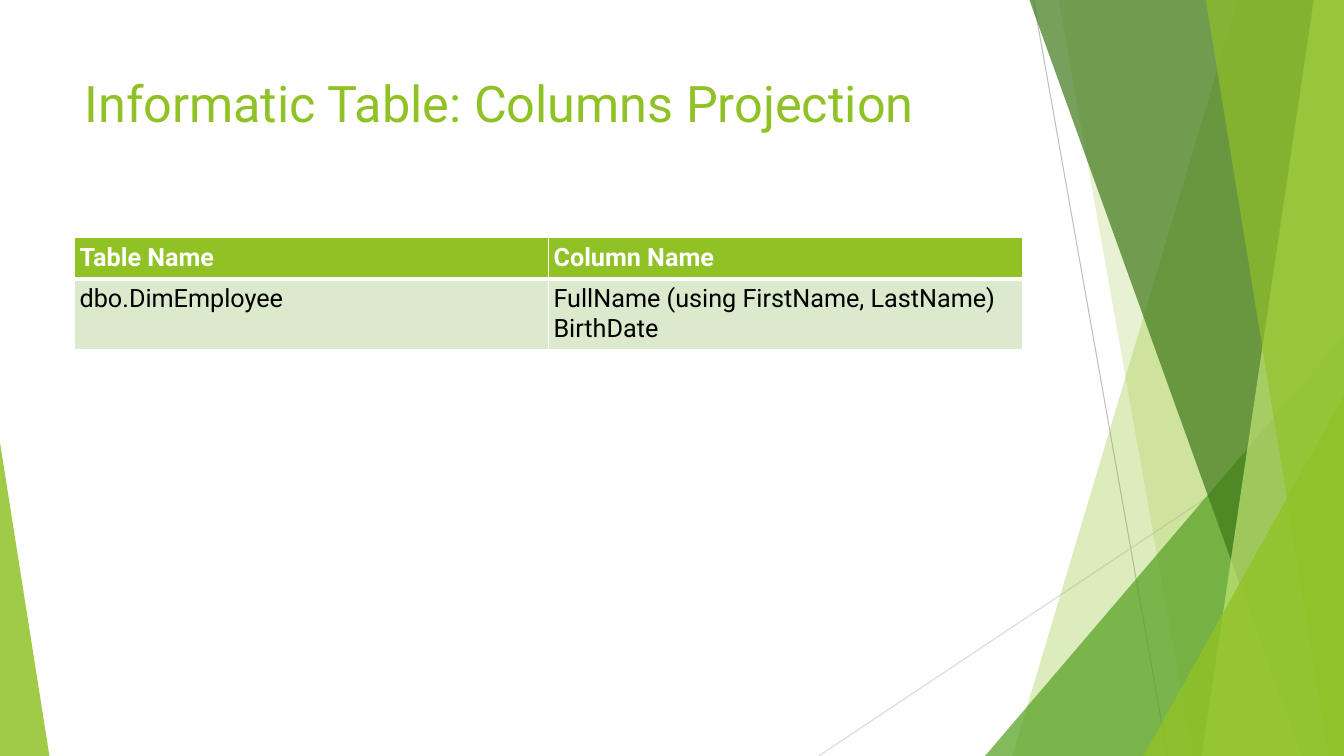
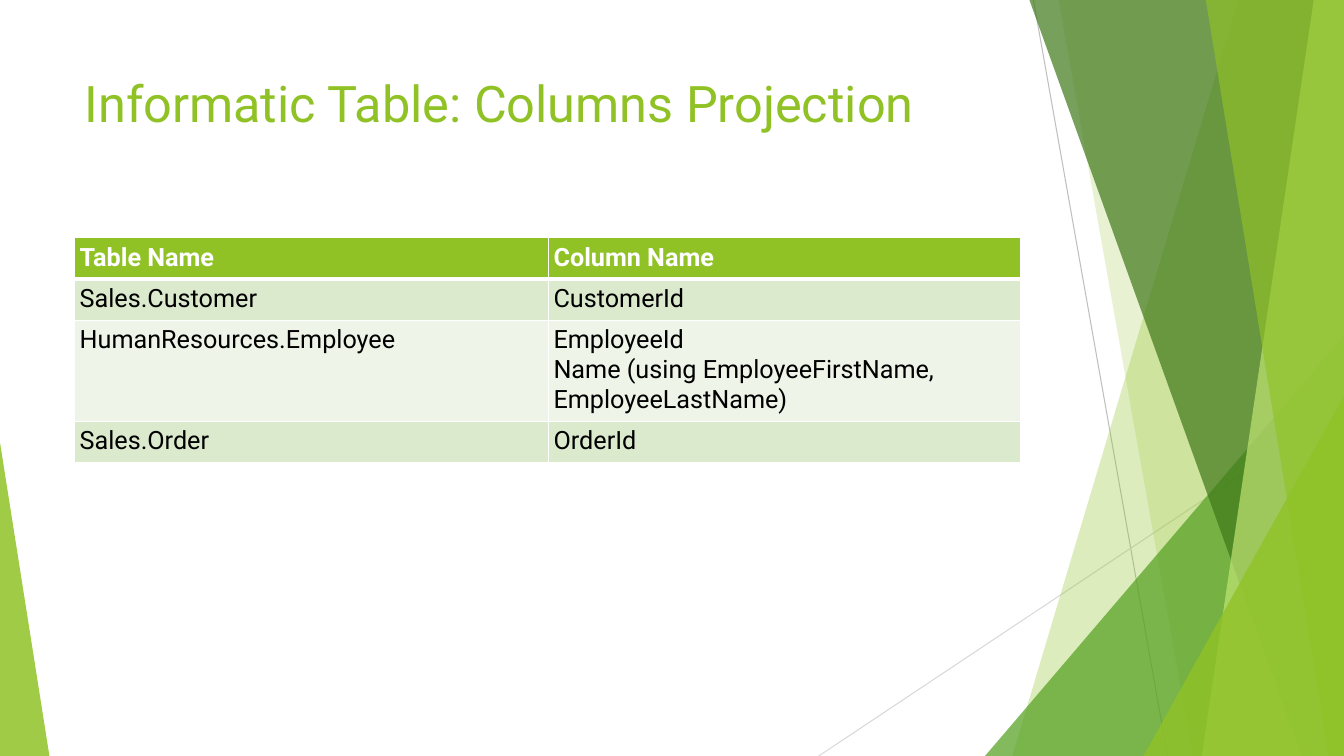
"""Build two slides that list projected table columns."""
from dataclasses import dataclass

from lxml import etree
from pptx import Presentation
from pptx.dml.color import RGBColor
from pptx.enum.shapes import MSO_CONNECTOR, MSO_SHAPE
from pptx.enum.text import MSO_ANCHOR
from pptx.oxml.ns import qn
from pptx.util import Pt

STRAIGHT = MSO_CONNECTOR.STRAIGHT
TRIANGLE = MSO_SHAPE.ISOSCELES_TRIANGLE
TOP = MSO_ANCHOR.TOP
PX = 9144


@dataclass(frozen=True)
class Theme:
    """Colours, font and type sizes of the deck."""
    font: str = "Roboto"
    title_size: int = 36
    table_size: int = 18
    hairline: float = 0.75
    border: int = 1
    header_border: int = 3
    white: str = "FFFFFF"
    black: str = "000000"
    green: str = "90C226"
    leaf: str = "54A021"
    forest: str = "3F7819"
    lime: str = "C0E474"
    grey: str = "BFBFBF"
    light_grey: str = "D9D9D9"
    bands: tuple = ("DBE9CD", "EEF4E8")


@dataclass(frozen=True)
class Box:
    """A region in px."""
    left: int
    top: int
    width: int
    height: int

    def emu(self):
        """Return the region as EMU lengths."""
        return [value * PX for value in (self.left, self.top, self.width, self.height)]


THEME = Theme()
PAGE = Box(0, 0, 1333, 750)
TITLE_BOX = Box(74, 67, 940, 144)
TABLE_LEFT, TABLE_TOP = 74, 236
CELL_INSET = 5
ROW_PADDING, LINE_HEIGHT = 12, 29

HAIRLINES = [
    (1025, 0, 1158, 750, THEME.grey),
    (1333, 403, 812, 750, THEME.light_grey),
]
FACETS = [
    ("band", 1228, 1004, THEME.green, 30),
    ("band", 1050, 1183, THEME.green, 20),
    ("corner", 977, 333, THEME.leaf, 72),
    ("band", 1021, 1291, THEME.forest, 70),
    ("band", 1303, 1192, THEME.lime, 70),
    ("band", 1196, 1318, THEME.green, 65),
    ("corner", 1134, 393, THEME.green, 80),
]
HEADINGS = ("Table Name", "Column Name")
SLIDES = [
    ("Informatic Table: Columns Projection", (470, 470), [
        ("dbo.DimEmployee", "FullName (using FirstName, LastName)\nBirthDate", 2),
    ]),
    ("Informatic Table: Columns Projection", (470, 468), [
        ("Sales.Customer", "CustomerId", 1),
        ("HumanResources.Employee",
         "EmployeeId\nName (using EmployeeFirstName, EmployeeLastName)", 3),
        ("Sales.Order", "OrderId", 1),
    ]),
]


def write_text(frame, text, *, size, colour, bold=False):
    """Fill a text frame with one paragraph for each line."""
    frame.word_wrap = True
    for index, line in enumerate(text.split("\n")):
        paragraph = frame.add_paragraph() if index else frame.paragraphs[0]
        run = paragraph.add_run()
        run.text = line
        run.font.name = THEME.font
        run.font.size = Pt(size)
        run.font.bold = bold
        run.font.color.rgb = RGBColor.from_string(colour)


def paint(shape, colour, opacity):
    """Give a shape a translucent fill without line or shadow."""
    shape.shadow.inherit = False
    shape.line.fill.background()
    shape.fill.solid()
    shape.fill.fore_color.rgb = RGBColor.from_string(colour)
    tint = shape.fill._xPr.find(qn("a:solidFill"))[0]
    etree.SubElement(tint, qn("a:alpha"), val=str(opacity * 1000))


def add_hairline(slide, box, start_x, start_y, end_x, end_y, colour):
    """Draw a thin straight line inside a box."""
    line = slide.shapes.add_connector(
        STRAIGHT, (box.left + start_x) * PX, (box.top + start_y) * PX,
        (box.left + end_x) * PX, (box.top + end_y) * PX)
    line.line.color.rgb = RGBColor.from_string(colour)
    line.line.width = Pt(THEME.hairline)
    etree.SubElement(line._element.spPr, qn("a:effectLst"))


def add_band(slide, box, top_x, bottom_x, colour, opacity):
    """Draw a full-height band with a slanted left edge."""
    right, bottom = box.left + box.width, box.top + box.height
    builder = slide.shapes.build_freeform(box.left + top_x, box.top, scale=PX)
    builder.add_line_segments(
        [(right, box.top), (right, bottom), (box.left + bottom_x, bottom)], close=True)
    paint(builder.convert_to_shape(), colour, opacity)


def add_triangle(slide, box, apex, colour, opacity):
    """Draw a triangle whose apex is a share of the box width."""
    triangle = slide.shapes.add_shape(TRIANGLE, *box.emu())
    triangle.adjustments[0] = apex
    paint(triangle, colour, opacity)


def add_backdrop(slide, box):
    """Draw the lines and green facets shared by all slides."""
    for hairline in HAIRLINES:
        add_hairline(slide, box, *hairline)
    for kind, first, second, colour, opacity in FACETS:
        if kind == "band":
            add_band(slide, box, first, second, colour, opacity)
        else:
            corner = Box(box.left + first, box.top + second,
                         box.width - first, box.height - second)
            add_triangle(slide, corner, 1, colour, opacity)
    left_corner = Box(box.left, box.top + 439, 49, box.height - 439)
    add_triangle(slide, left_corner, 0, THEME.green, 85)


def add_title(slide, box, text):
    """Place the slide title in a box."""
    frame = slide.shapes.add_textbox(*box.emu()).text_frame
    frame.vertical_anchor = TOP
    write_text(frame, text, size=THEME.title_size, colour=THEME.green)


def add_borders(cell, top, bottom):
    """Draw white borders around a table cell."""
    properties = cell._tc.get_or_add_tcPr()
    widths = {"lnL": THEME.border, "lnR": THEME.border, "lnT": top, "lnB": bottom}
    for side, width in widths.items():
        line = etree.SubElement(properties, qn(f"a:{side}"), w=str(Pt(width)))
        fill = etree.SubElement(line, qn("a:solidFill"))
        etree.SubElement(fill, qn("a:srgbClr"), val=THEME.white)


def fill_cell(cell, text, row_index):
    """Write and style one cell according to its row."""
    header = row_index == 0
    add_borders(cell,
                top=THEME.header_border if row_index == 1 else THEME.border,
                bottom=THEME.header_border if header else THEME.border)
    cell.fill.solid()
    colour = THEME.green if header else THEME.bands[(row_index - 1) % 2]
    cell.fill.fore_color.rgb = RGBColor.from_string(colour)
    cell.margin_left = cell.margin_right = CELL_INSET * PX
    cell.margin_top = cell.margin_bottom = CELL_INSET * PX
    write_text(cell.text_frame, text, size=THEME.table_size, bold=header,
               colour=THEME.white if header else THEME.black)


def add_column_table(slide, left, top, widths, entries):
    """Place the table of source tables and their columns."""
    rows = [(*HEADINGS, 1), *entries]
    heights = [ROW_PADDING + LINE_HEIGHT * lines for *_, lines in rows]
    box = Box(left, top, sum(widths), sum(heights))
    table = slide.shapes.add_table(len(rows), len(widths), *box.emu()).table
    for column, width in zip(table.columns, widths):
        column.width = width * PX
    for row_index, (*texts, _) in enumerate(rows):
        table.rows[row_index].height = heights[row_index] * PX
        for column_index, text in enumerate(texts):
            fill_cell(table.cell(row_index, column_index), text, row_index)


def main():
    """Build and save the presentation."""
    presentation = Presentation()
    presentation.slide_width = PAGE.width * PX
    presentation.slide_height = PAGE.height * PX
    for title, widths, entries in SLIDES:
        slide = presentation.slides.add_slide(presentation.slide_layouts[6])
        add_backdrop(slide, PAGE)
        add_title(slide, TITLE_BOX, title)
        add_column_table(slide, TABLE_LEFT, TABLE_TOP, widths, entries)
    presentation.save("out.pptx")


if __name__ == "__main__":
    main()
